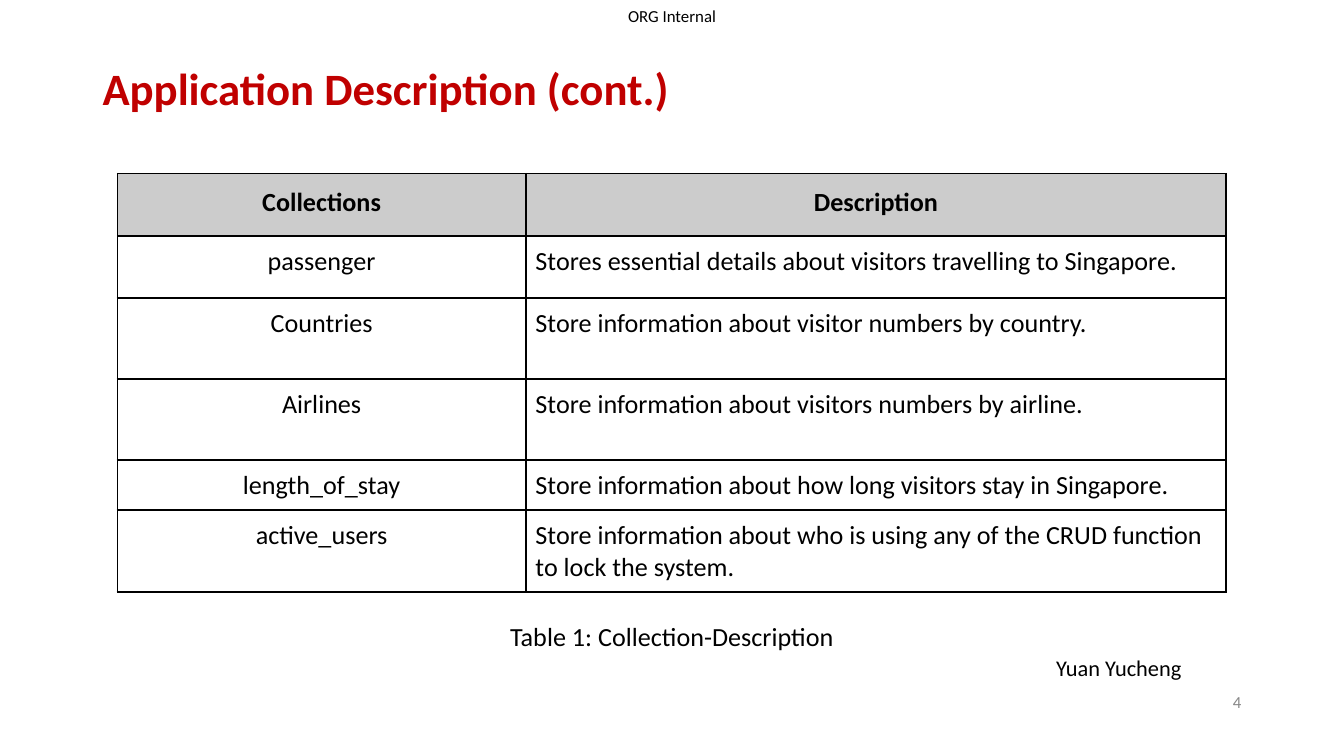
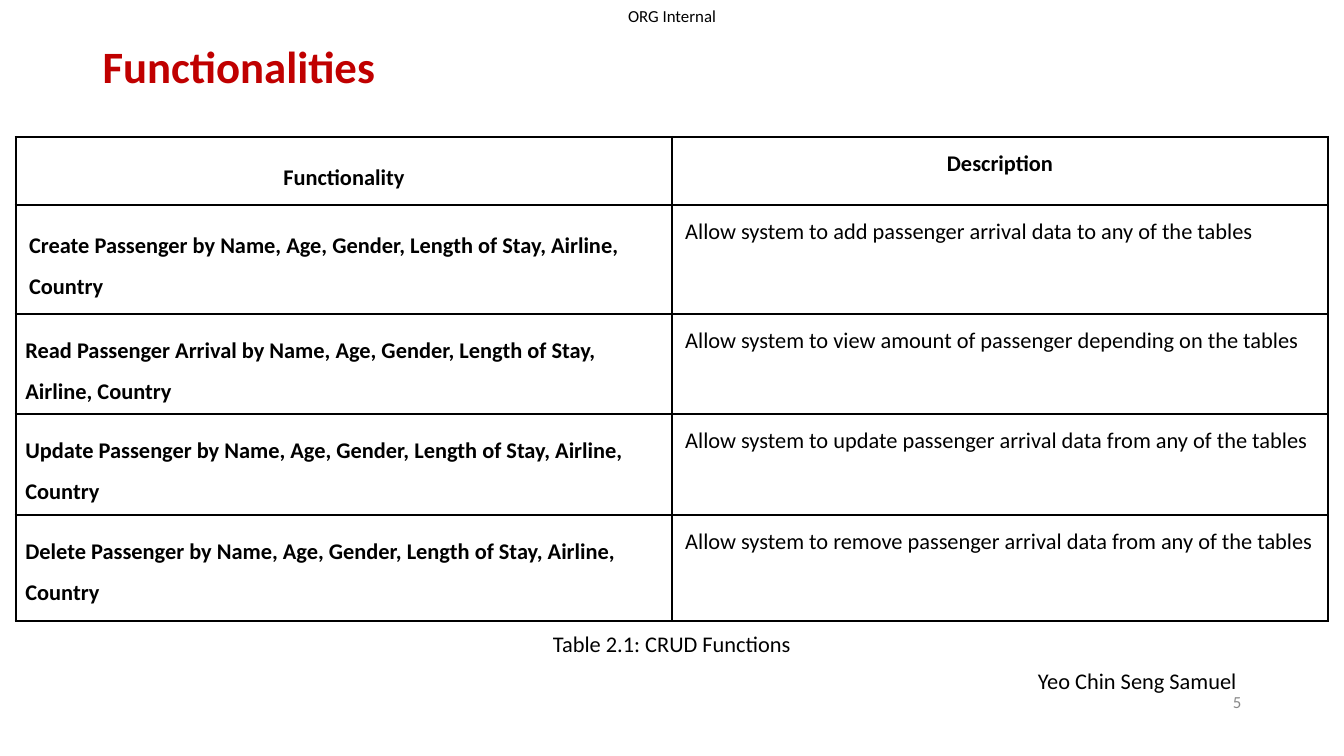
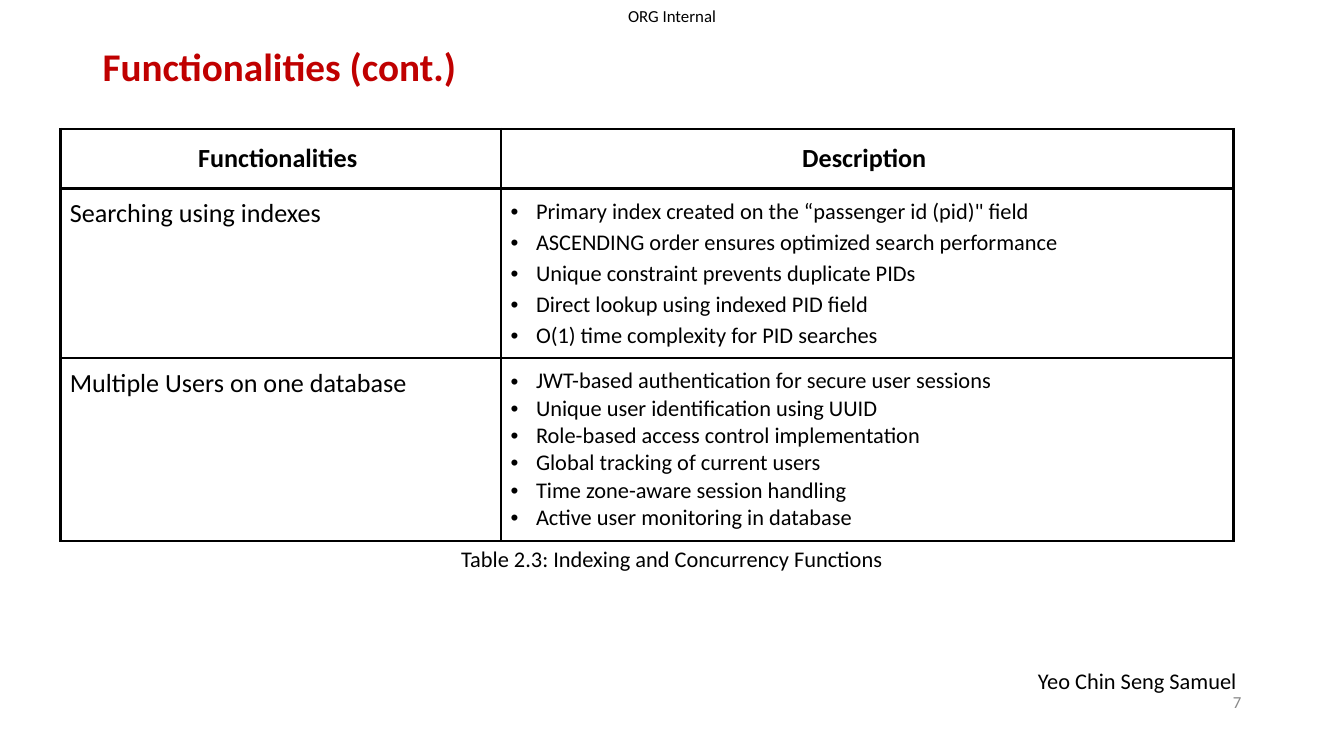
"""Build three table slides that describe a visitor database application."""
from dataclasses import dataclass, replace
from typing import Any

from lxml import etree
from pptx import Presentation
from pptx import util as u
from pptx.dml import color as dml
from pptx.enum import text
from pptx.oxml import ns

COLORS = {"ink": "000000", "title": "C00000", "number": "888888", "header": "CCCCCC"}
FONT = "Calibri"
PAGE_WIDTH, PAGE_HEIGHT = 25.4, 14.29
WIDE, NARROW = 0.25, 0.18
BULLET_INDENT = 0.48
LEFT, CENTER, RIGHT = text.PP_ALIGN.LEFT, text.PP_ALIGN.CENTER, text.PP_ALIGN.RIGHT
TOP, MIDDLE = text.MSO_ANCHOR.TOP, text.MSO_ANCHOR.MIDDLE


@dataclass(frozen=True)
class Style:
    size: float
    bold: bool = False
    color: str = "ink"
    align: Any = LEFT
    spacing: float = 1.0
    after: float = 0
    bulleted: bool = False


@dataclass(frozen=True)
class Entry:
    lines: tuple[str, ...]
    style: Style
    inset: float = NARROW
    fill: str = ""
    borders: tuple[float, float, float, float] = (1.5, 1.5, 1.5, 1.5)


@dataclass(frozen=True)
class Grid:
    left: float
    top: float
    widths: tuple[float, ...]
    heights: tuple[float, ...]
    rows: list[list[Entry]]


@dataclass(frozen=True)
class Label:
    words: str
    left: float
    top: float
    width: float
    height: float
    style: Style
    insets: tuple[float, float] = (WIDE, WIDE)
    anchor: Any = TOP


@dataclass(frozen=True)
class Page:
    number: int
    title: str
    title_top: float
    title_size: float
    grid: Grid
    caption: str
    caption_top: float
    caption_width: float
    caption_size: float
    author: str
    author_left: float
    author_top: float


def apply(target: Any, values: dict[str, Any]) -> None:
    """Set each named attribute on the target."""
    for name, value in values.items():
        setattr(target, name, value)


def add_element(parent: Any, tag: str, **attributes: str) -> Any:
    """Append a drawing element to the parent."""
    return etree.SubElement(parent, ns.qn(tag), attributes)


def write_lines(frame: Any, lines: tuple[str, ...], style: Style) -> None:
    """Fill a text frame with one styled paragraph per line."""
    for index, line in enumerate(lines):
        para = frame.add_paragraph() if index else frame.paragraphs[0]
        apply(para, {"alignment": style.align, "line_spacing": style.spacing,
                     "space_after": u.Pt(style.after)})
        span = para.add_run()
        span.text = line
        apply(span.font, {"name": FONT, "size": u.Pt(style.size), "bold": style.bold})
        span.font.color.rgb = dml.RGBColor.from_string(COLORS[style.color])
        if style.bulleted:
            add_bullet(para)


def add_bullet(para: Any) -> None:
    """Give a paragraph a hanging round bullet."""
    properties = para._p.get_or_add_pPr()
    indent = u.Cm(BULLET_INDENT)
    properties.set("marL", str(indent))
    properties.set("indent", str(-indent))
    add_element(add_element(properties, "a:buClr"), "a:srgbClr", val=COLORS["ink"])
    add_element(properties, "a:buFont", typeface="Arial")
    add_element(properties, "a:buChar", char="•")


def draw_label(slide: Any, label: Label) -> None:
    """Draw one text box."""
    box = slide.shapes.add_textbox(*map(u.Cm, (label.left, label.top, label.width, label.height)))
    side, edge = map(u.Cm, label.insets)
    apply(box.text_frame, {"word_wrap": True, "vertical_anchor": label.anchor,
                           "margin_left": side, "margin_right": side,
                           "margin_top": edge, "margin_bottom": edge})
    write_lines(box.text_frame, (label.words,), label.style)


def draw_borders(cell: Any, widths: tuple[float, float, float, float]) -> None:
    """Outline a cell on its left, right, top and bottom."""
    properties = cell._tc.get_or_add_tcPr()
    for side, width in zip("LRTB", widths):
        line = add_element(properties, f"a:ln{side}", w=str(u.Pt(width)))
        add_element(add_element(line, "a:solidFill"), "a:srgbClr", val=COLORS["ink"])


def draw_cell(cell: Any, entry: Entry) -> None:
    """Format and fill one table cell."""
    inset = u.Cm(entry.inset)
    apply(cell, {"margin_left": inset, "margin_right": inset, "margin_top": inset,
                 "margin_bottom": inset, "vertical_anchor": TOP})
    draw_borders(cell, entry.borders)
    if entry.fill:
        cell.fill.solid()
        cell.fill.fore_color.rgb = dml.RGBColor.from_string(COLORS[entry.fill])
    else:
        cell.fill.background()
    write_lines(cell.text_frame, entry.lines, entry.style)


def draw_grid(slide: Any, grid: Grid) -> None:
    """Draw a table with its column widths and row heights."""
    bounds = (grid.left, grid.top, sum(grid.widths), sum(grid.heights))
    table = slide.shapes.add_table(len(grid.heights), len(grid.widths), *map(u.Cm, bounds)).table
    apply(table, {"first_row": False, "horz_banding": False})
    for column, width in zip(table.columns, grid.widths):
        column.width = u.Cm(width)
    for row, height, entries in zip(table.rows, grid.heights, grid.rows):
        row.height = u.Cm(height)
        for cell, entry in zip(row.cells, entries):
            draw_cell(cell, entry)


def draw_page(deck: Any, page: Page) -> None:
    """Add a slide with its title, table, caption and footers."""
    slide = deck.slides.add_slide(deck.slide_layouts[6])
    draw_label(slide, Label("ORG Internal", 11.2, 0, 3, 0.61, Style(9, align=CENTER),
                            (0, 0), MIDDLE))
    draw_label(slide, Label(page.title, 1.75, page.title_top, 21.9, 1.3,
                            Style(page.title_size, True, "title", spacing=0.9),
                            (0.19, 0.1), MIDDLE))
    draw_label(slide, Label(str(page.number), 17.93, 12.88, 5.72, 0.76,
                            Style(9, color="number", align=RIGHT), (0.19, 0.1), MIDDLE))
    draw_grid(slide, page.grid)
    draw_label(slide, Label(page.caption, (PAGE_WIDTH - page.caption_width) / 2,
                            page.caption_top, page.caption_width, 1.09,
                            Style(page.caption_size, align=CENTER)))
    draw_label(slide, Label(page.author, page.author_left, page.author_top, 4.29, 0.76,
                            Style(12, align=CENTER)))


def collection_grid() -> Grid:
    """Describe the stored collections."""
    descriptions = {
        "passenger": "Stores essential details about visitors travelling to Singapore.",
        "Countries": "Store information about visitor numbers by country.",
        "Airlines": "Store information about visitors numbers by airline.",
        "length_of_stay": "Store information about how long visitors stay in Singapore.",
        "active_users": "Store information about who is using any of the CRUD function "
                        "to lock the system.",
    }
    body = Style(14)
    centered = replace(body, align=CENTER)
    heading = replace(centered, bold=True)
    thin = (1, 1, 1, 1)
    rows = [[Entry((name,), heading, WIDE, "header", (0.75, 0.75, 0.75, 1))
             for name in ("Collections", "Description")]]
    rows += [[Entry((name,), centered, borders=thin), Entry((description,), body, borders=thin)]
             for name, description in descriptions.items()]
    return Grid(2.22, 3.28, (7.72, 13.23), (1.18, 1.17, 1.53, 1.53, 0.95, 1.55), rows)


def crud_grid() -> Grid:
    """Describe the four CRUD functions."""
    functions = [
        ("Create Passenger", "add passenger arrival data to", WIDE),
        ("Read Passenger Arrival", "view amount of passenger depending on the tables", NARROW),
        ("Update Passenger", "update passenger arrival data from", NARROW),
        ("Delete Passenger", "remove passenger arrival data from", NARROW),
    ]
    body = Style(12)
    name_style = Style(12, True, spacing=1.5, after=2)
    rows = [[Entry(("Functionality",), replace(name_style, align=CENTER), WIDE),
             Entry(("Description",), Style(12, True, align=CENTER), WIDE)]]
    for name, action, inset in functions:
        ending = "" if action.endswith("tables") else " any of the tables"
        rows.append([
            Entry((f"{name} by Name, Age, Gender, Length of Stay, Airline, Country",),
                  name_style, inset),
            Entry((f"Allow system to {action}{ending}",), body, WIDE),
        ])
    return Grid(0.3, 2.59, (12.4, 12.4), (1.29, 2.06, 1.89, 1.91, 2.0), rows)


def concurrency_grid() -> Grid:
    """Describe indexing and concurrent use."""
    heading = Style(14, True, align=CENTER)
    points = Style(12, bulleted=True)
    search = (
        "Primary index created on the “passenger id (pid)\" field",
        "ASCENDING order ensures optimized search performance",
        "Unique constraint prevents duplicate PIDs",
        "Direct lookup using indexed PID field",
        "O(1) time complexity for PID searches",
    )
    sessions = (
        "JWT-based authentication for secure user sessions",
        "Unique user identification using UUID",
        "Role-based access control implementation",
        "Global tracking of current users",
        "Time zone-aware session handling",
        "Active user monitoring in database",
    )
    rows = [[Entry((name,), heading, WIDE) for name in ("Functionalities ", "Description ")]]
    for name, lines, after in (("Searching using indexes", search, 2),
                               ("Multiple Users on one database", sessions, 0)):
        rows.append([Entry((name,), Style(14, after=after)),
                     Entry(lines, replace(points, after=after))])
    return Grid(1.14, 2.44, (8.33, 13.84), (1.12, 3.21, 3.46), rows)


def main() -> None:
    """Build and save the deck."""
    deck = Presentation()
    apply(deck, {"slide_width": u.Cm(PAGE_WIDTH), "slide_height": u.Cm(PAGE_HEIGHT)})
    pages = [
        Page(4, "Application Description (cont.)", 1.07, 24, collection_grid(),
             "Table 1: Collection-Description", 11.48, 9.22, 14, "Yuan Yucheng", 19.0, 12.12),
        Page(5, "Functionalities", 0.66, 24, crud_grid(),
             "Table 2.1: CRUD Functions", 11.66, 6.91, 12, "Yeo Chin Seng Samuel", 19.35, 12.37),
        Page(7, "Functionalities (cont.)", 0.66, 21, concurrency_grid(),
             "Table 2.3: Indexing and Concurrency Functions", 10.06, 10.11, 12,
             "Yeo Chin Seng Samuel", 19.35, 12.37),
    ]
    for page in pages:
        draw_page(deck, page)
    deck.save("out.pptx")


if __name__ == "__main__":
    main()
